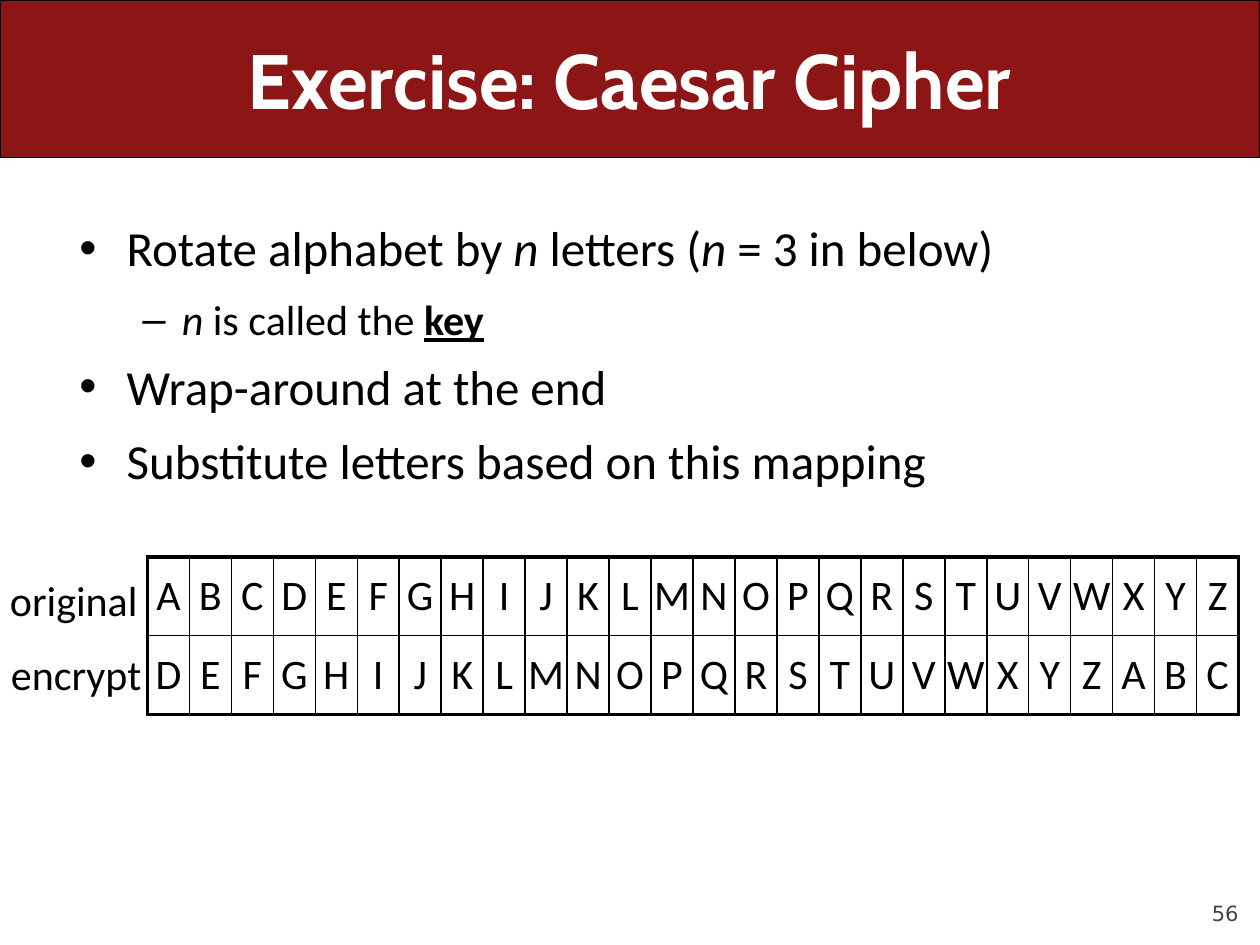
from lxml import etree
from pptx import Presentation
from pptx.dml.color import RGBColor
from pptx.enum import shapes, text
from pptx.oxml.ns import qn
from pptx.util import Inches, Pt

COLORS = {"banner": "8C1515", "ink": "000000", "title": "FFFFFF", "number": "424242"}
ALPHABET = "ABCDEFGHIJKLMNOPQRSTUVWXYZ"
KEY = 3


def style(p, size, color, align, name="Calibri"):
    p.alignment = align
    p.font.size = Pt(size)
    p.font.name = name
    p.font.color.rgb = RGBColor.from_string(COLORS[color])


def add_border(cell, side, width):
    ln = etree.SubElement(cell._tc.get_or_add_tcPr(), qn(f"a:ln{side}"), w=str(Pt(width)))
    fill = etree.SubElement(ln, qn("a:solidFill"))
    etree.SubElement(fill, qn("a:srgbClr"), val=COLORS["ink"])


prs = Presentation()
prs.slide_width, prs.slide_height = Inches(10), Inches(7.5)
s = prs.slides.add_slide(prs.slide_layouts[1])
title, body = s.placeholders

# Banner, placed behind the title
banner = s.shapes.add_shape(shapes.MSO_SHAPE.ROUNDED_RECTANGLE, 0, 0, Inches(10), Inches(1.25))
banner.adjustments[0] = 0
banner.shadow.inherit = False
banner.fill.solid()
banner.fill.fore_color.rgb = RGBColor.from_string(COLORS["banner"])
banner.line.color.rgb = RGBColor.from_string(COLORS["ink"])
banner.line.width = Pt(0.75)
s.shapes._spTree.insert(2, banner._element)

# Title
title.left, title.top, title.width, title.height = Inches(0.5), 0, Inches(9), Inches(1.25)
tf = title.text_frame
tf.text = "Exercise: Caesar Cipher"
tf.vertical_anchor = text.MSO_ANCHOR.MIDDLE
style(tf.paragraphs[0], 44, "title", text.PP_ALIGN.CENTER, "Cabin")
tf.paragraphs[0].font.bold = True

# Bullet list: level, then runs with their emphasis
bullets = [
    (0, [("Rotate alphabet by ", ""), ("n", "italic"), (" letters (", ""),
         ("n", "italic"), (" = 3 in below)", "")]),
    (1, [("n", "italic"), (" is called the ", ""), ("key", "key")]),
    (0, [("Wrap-around at the end", "")]),
    (0, [("Substitute letters based on this mapping", "")]),
]
body.left, body.top = Inches(0.53), Inches(1.75)
body.width, body.height = Inches(8.89), Inches(5.07)
tf = body.text_frame
tf.auto_size = text.MSO_AUTO_SIZE.NONE
for i, (level, runs) in enumerate(bullets):
    p = tf.add_paragraph() if i else tf.paragraphs[0]
    p.level = level
    size = 24 if level else 28
    style(p, size, "ink", text.PP_ALIGN.LEFT)
    p.line_spacing = 0.85
    p.space_before = Pt(0)
    p.space_after = Pt(size / 2)
    for words, emphasis in runs:
        r = p.add_run()
        r.text = words
        if emphasis == "italic":
            r.font.italic = True
        elif emphasis == "key":
            r.font.bold = r.font.underline = True

# Cipher table: the alphabet above its rotation
rows = [ALPHABET, ALPHABET[KEY:] + ALPHABET[:KEY]]
last = len(ALPHABET) - 1
table = s.shapes.add_table(len(rows), len(ALPHABET), Inches(1.17), Inches(4.42),
                           Inches(8.67), Inches(1.25)).table
table.first_row = table.horz_banding = False
for column in table.columns:
    column.width = Inches(8.67 / len(ALPHABET))
for y, letters in enumerate(rows):
    for x, letter in enumerate(letters):
        cell = table.cell(y, x)
        cell.text = letter
        cell.margin_left = cell.margin_right = 0
        cell.vertical_anchor = text.MSO_ANCHOR.MIDDLE
        style(cell.text_frame.paragraphs[0], 24, "ink", text.PP_ALIGN.CENTER)
        outer = {"L": x == 0, "R": x == last, "T": y == 0, "B": y == 1}
        for side, thick in outer.items():
            add_border(cell, side, 2.25 if thick else 1)
        cell.fill.background()

# Row labels and slide number
labels = [
    ("original", -0.04, 4.51, 1.25, 0.5),
    ("encrypt", -0.02, 5.1, 1.25, 0.5),
    ("56", 9, 6.95, 0.83, 0.4),
]
for words, *box in labels:
    tf = s.shapes.add_textbox(*map(Inches, box)).text_frame
    tf.word_wrap = True
    tf.text = words
    p = tf.paragraphs[0]
    if words == "56":
        tf.margin_left = tf.margin_right = tf.margin_top = tf.margin_bottom = 0
        tf.vertical_anchor = text.MSO_ANCHOR.BOTTOM
        style(p, 12, "number", text.PP_ALIGN.RIGHT, "DejaVu Sans")
    else:
        style(p, 24, "ink", text.PP_ALIGN.CENTER)

prs.save("out.pptx")
